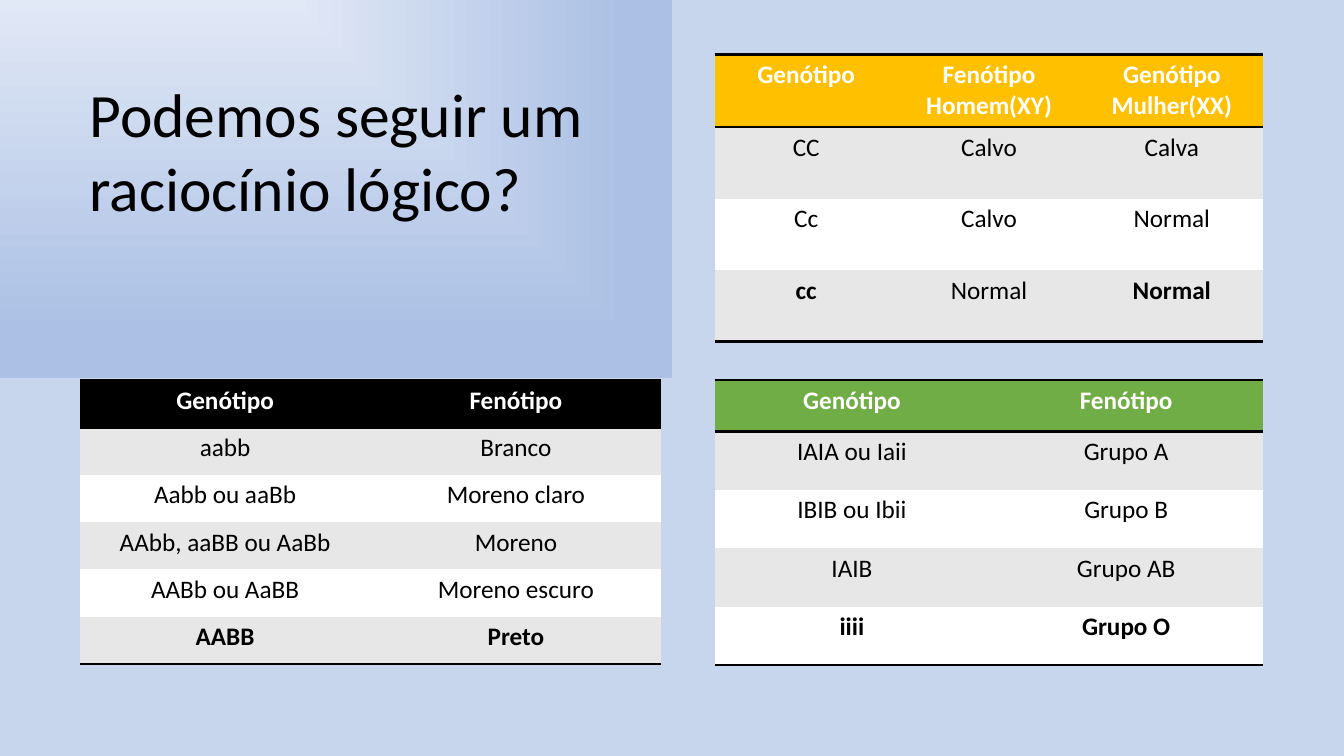
from dataclasses import dataclass

from lxml import etree
from pptx import Presentation
from pptx.dml.color import RGBColor
from pptx.enum.text import PP_ALIGN
from pptx.oxml import parse_xml
from pptx.oxml.ns import nsdecls, qn
from pptx.slide import Slide
from pptx.table import Table, _Cell
from pptx.util import Inches, Pt

CENTER = PP_ALIGN.CENTER
FONT = "Calibri"
PLAIN_TABLE_STYLE = "{2D5ABB26-0587-4C30-8999-92F81FD0307C}"
BORDER_WIDTH = Pt(2)
COLORS = {
    "black": "000000",
    "white": "FFFFFF",
    "band": "E7E7E7",
    "green": "70AD47",
    "amber": "FFC000",
    "glow": "E1E8F6",
    "blue": "ABC0E4",
    "pale_blue": "C7D5ED",
}
BACKGROUND_STOPS = [(0, "glow"), (88, "blue"), (100, "blue"), (100, "pale_blue")]


@dataclass
class GenotypeTable:
    left: float
    top: float
    width: float
    header_height: float
    row_height: float
    header_color: str
    rows: list[list[str]]
    bold_columns: tuple[int, ...]  # columns set in bold in the last row


TABLES = [
    GenotypeTable(0.79, 3.77, 5.77, 0.47, 0.47, "black", [
        ["Genótipo", "Fenótipo"],
        ["aabb", "Branco"],
        ["Aabb ou aaBb", "Moreno claro"],
        ["AAbb, aaBB ou AaBb", "Moreno"],
        ["AABb ou AaBB", "Moreno escuro"],
        ["AABB", "Preto"],
    ], (0, 1)),
    GenotypeTable(7.09, 3.77, 5.44, 0.51, 0.58, "green", [
        ["Genótipo", "Fenótipo"],
        ["IAIA ou Iaii", "Grupo A"],
        ["IBIB ou Ibii", "Grupo B"],
        ["IAIB", "Grupo AB"],
        ["iiii", "Grupo O"],
    ], (0, 1)),
    GenotypeTable(7.09, 0.54, 5.44, 0.72, 0.71, "amber", [
        ["Genótipo", "Fenótipo\nHomem(XY)", "Genótipo\nMulher(XX)"],
        ["CC", "Calvo", "Calva"],
        ["Cc", "Calvo", "Normal"],
        ["cc", "Normal", "Normal"],
    ], (0, 2)),
]


def color(name: str) -> RGBColor:
    return RGBColor.from_string(COLORS[name])


def set_background(slide: Slide) -> None:
    slide.background.fill.solid()
    properties = slide.element.find(".//" + qn("p:bgPr"))
    stops = "".join(
        f'<a:gs pos="{position * 1000}"><a:srgbClr val="{COLORS[name]}"/></a:gs>'
        for position, name in BACKGROUND_STOPS
    )
    properties[0] = parse_xml(
        f'<a:gradFill {nsdecls("a")} rotWithShape="1"><a:gsLst>{stops}</a:gsLst>'
        '<a:path path="rect"><a:fillToRect r="100000" b="100000"/></a:path>'
        "</a:gradFill>"
    )


def add_border(cell: _Cell, side: str) -> None:
    properties = cell._tc.get_or_add_tcPr()
    line = etree.SubElement(properties, qn(f"a:ln{side}"), w=str(BORDER_WIDTH))
    fill = etree.SubElement(line, qn("a:solidFill"))
    etree.SubElement(fill, qn("a:srgbClr"), val=COLORS["black"])


def fill_cell(cell: _Cell, text: str, fill: str, text_color: str, bold: bool) -> None:
    cell.fill.solid()
    cell.fill.fore_color.rgb = color(fill)
    cell.text = text
    for paragraph in cell.text_frame.paragraphs:
        paragraph.alignment = CENTER
        paragraph.font.name = FONT
        paragraph.font.size = Pt(18)
        paragraph.font.bold = bold
        paragraph.font.color.rgb = color(text_color)


def add_genotype_table(slide: Slide, spec_table: GenotypeTable) -> None:
    rows = spec_table.rows
    last = len(rows) - 1
    column_count = len(rows[0])
    height = spec_table.header_height + last * spec_table.row_height
    table: Table = slide.shapes.add_table(
        len(rows), column_count, Inches(spec_table.left), Inches(spec_table.top),
        Inches(spec_table.width), Inches(height),
    ).table
    table._tbl.tblPr.find(qn("a:tableStyleId")).text = PLAIN_TABLE_STYLE

    for column in table.columns:
        column.width = Inches(spec_table.width / column_count)
    for row_index, texts in enumerate(rows):
        is_header = row_index == 0
        row_height = spec_table.header_height if is_header else spec_table.row_height
        table.rows[row_index].height = Inches(row_height)
        band = "band" if row_index % 2 else "white"
        for column_index, text in enumerate(texts):
            cell = table.cell(row_index, column_index)
            if is_header:
                add_border(cell, "T")
            if row_index in (0, last):
                add_border(cell, "B")
            bold = is_header or (
                row_index == last and column_index in spec_table.bold_columns
            )
            fill_cell(
                cell, text, spec_table.header_color if is_header else band,
                "white" if is_header else "black", bold,
            )


def add_title(slide: Slide) -> None:
    title = slide.shapes.add_textbox(
        Inches(0.79), Inches(0.7), Inches(5.77), Inches(1.58)
    )
    title.text_frame.word_wrap = True
    paragraph = title.text_frame.paragraphs[0]
    paragraph.text = "Podemos seguir um raciocínio lógico?"
    paragraph.font.name = FONT
    paragraph.font.size = Pt(44)
    paragraph.font.color.rgb = color("black")


def main() -> None:
    presentation = Presentation()
    presentation.slide_width = Inches(13.33)
    presentation.slide_height = Inches(7.5)
    slide = presentation.slides.add_slide(presentation.slide_layouts[6])

    set_background(slide)
    for genotype_table in TABLES:
        add_genotype_table(slide, genotype_table)
    add_title(slide)

    presentation.save("out.pptx")


if __name__ == "__main__":
    main()
